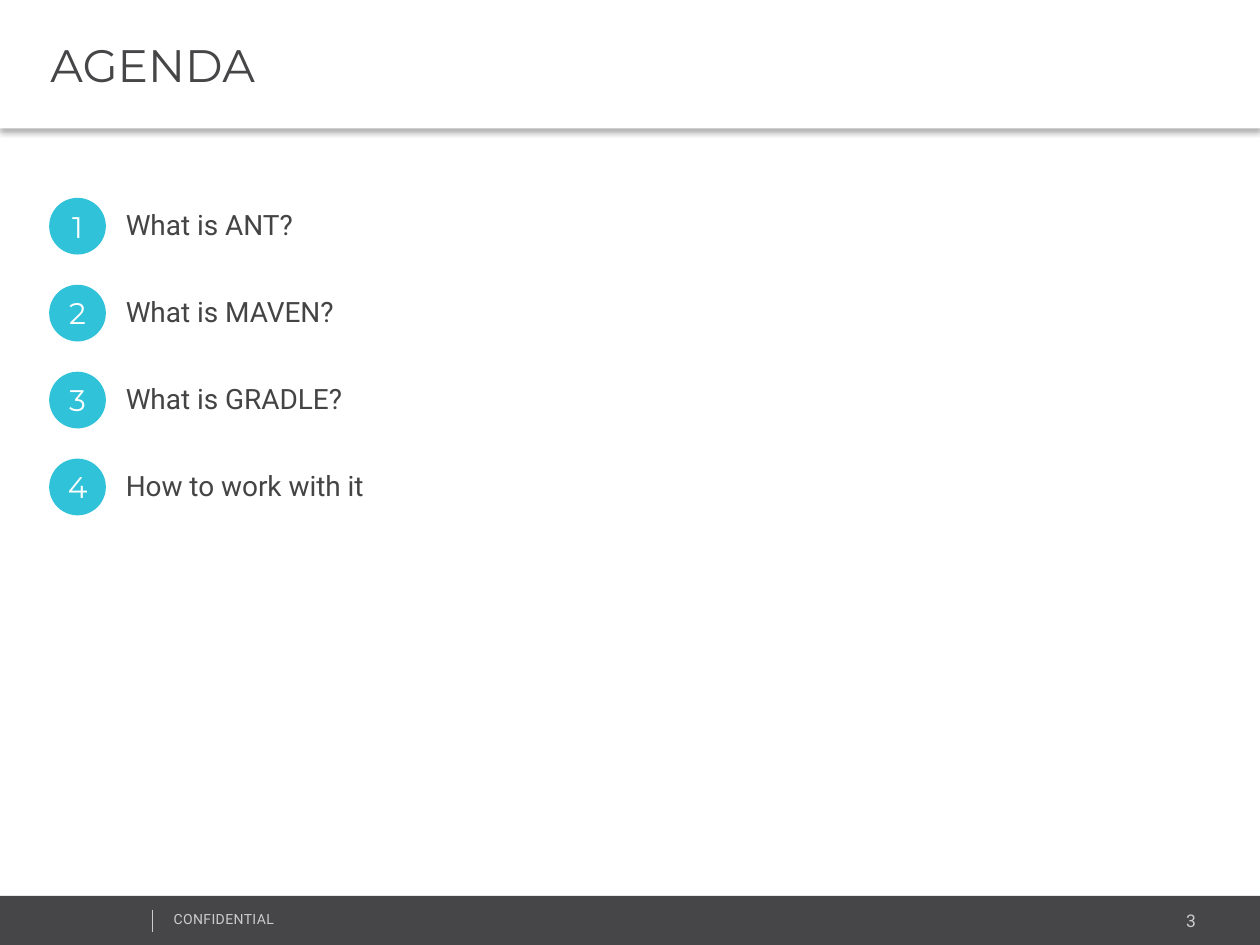
from lxml import etree
from pptx import Presentation
from pptx.dml.color import RGBColor
from pptx.enum.shapes import MSO_CONNECTOR, MSO_SHAPE
from pptx.enum.text import MSO_ANCHOR, PP_ALIGN
from pptx.oxml.ns import qn
from pptx.util import Inches, Pt

RECTANGLE, OVAL = MSO_SHAPE.RECTANGLE, MSO_SHAPE.OVAL
STRAIGHT = MSO_CONNECTOR.STRAIGHT
TOP, MIDDLE = MSO_ANCHOR.TOP, MSO_ANCHOR.MIDDLE
LEFT, CENTER, RIGHT = PP_ALIGN.LEFT, PP_ALIGN.CENTER, PP_ALIGN.RIGHT

TITLE = "AGENDA"
TOPICS = ["What is ANT?", "What is MAVEN?", "What is GRADLE?", "How to work with it"]
FOOTER = "CONFIDENTIAL"
PAGE_NUMBER = "3"

COLORS = {
    "white": "FFFFFF",
    "dark": "464547",
    "topic": "444444",
    "badge": "2FC2D9",
    "footer": "CCCCCC",
    "shadow": "000000",
}
HEADING_FONT, BODY_FONT = "Montserrat", "Roboto"

WIDTH, HEIGHT = 10, 7.5
HEADER_HEIGHT = 1.02
FOOTER_TOP, FOOTER_HEIGHT = 7.11, 0.4
FIRST_ROW, ROW_STEP = 1.57, 0.69
BADGE_LEFT, BADGE_SIZE = 0.39, 0.45
NUMBER_WIDTH, NUMBER_HEIGHT = 0.35, 0.27
TOPIC_LEFT, TOPIC_WIDTH, TOPIC_HEIGHT = 0.9, 8, 0.37
DEFAULT_INSETS = (0.1, 0.05, 0.1, 0.05)


def color(name):
    return RGBColor.from_string(COLORS[name])


def add_block(shapes, kind, box, fill):
    shape = shapes.add_shape(kind, *map(Inches, box))
    shape.shadow.inherit = False
    shape.fill.solid()
    shape.fill.fore_color.rgb = color(fill)
    shape.line.fill.background()
    return shape


def write(shape, text, font, size, fill, align=LEFT, anchor=TOP,
          insets=DEFAULT_INSETS, wrap=True):
    frame = shape.text_frame
    frame.word_wrap = wrap
    frame.vertical_anchor = anchor
    (frame.margin_left, frame.margin_top,
     frame.margin_right, frame.margin_bottom) = map(Inches, insets)
    paragraph = frame.paragraphs[0]
    paragraph.alignment = align
    run = paragraph.add_run()
    run.text = text
    run.font.name = font
    run.font.size = Pt(size)
    run.font.color.rgb = color(fill)
    return run


def add_text(shapes, box, *content, **layout):
    return write(shapes.add_textbox(*map(Inches, box)), *content, **layout)


def add_drop_shadow(shape):
    effects = shape._element.spPr.find(qn("a:effectLst"))
    shadow = etree.SubElement(
        effects, qn("a:outerShdw"), blurRad=str(Pt(3.1)), dist=str(Pt(2)),
        dir="5400000", algn="t", rotWithShape="0")
    tint = etree.SubElement(shadow, qn("a:srgbClr"), val=COLORS["shadow"])
    etree.SubElement(tint, qn("a:alpha"), val="30000")


def add_footer(shapes):
    add_block(shapes, RECTANGLE, (0, FOOTER_TOP, WIDTH, FOOTER_HEIGHT), "dark")
    add_text(shapes, (7.96, 7.17, 1.63, 0.27), PAGE_NUMBER, BODY_FONT, 10,
             "footer", align=RIGHT)
    label = add_text(shapes, (1.28, 7.18, 2.53, 0.24), FOOTER, BODY_FONT, 8, "footer")
    label.font._element.set("spc", "20")
    divider = shapes.add_connector(STRAIGHT, *map(Inches, (1.21, 7.22, 1.21, 7.4)))
    divider.line.color.rgb = color("footer")
    divider.line.width = Pt(0.25)
    etree.SubElement(divider._element.spPr, qn("a:effectLst"))


def add_header(shapes):
    header = add_block(shapes, RECTANGLE, (0, 0, WIDTH, HEADER_HEIGHT), "white")
    add_drop_shadow(header)
    write(header, TITLE, HEADING_FONT, 26, "dark", anchor=MIDDLE,
          insets=(0.4, 0.05, 0.1, 0.05))


def add_topic(shapes, index, topic):
    top = FIRST_ROW + index * ROW_STEP
    row = shapes.add_group_shape().shapes
    add_text(row, (TOPIC_LEFT, top + 0.03, TOPIC_WIDTH, TOPIC_HEIGHT),
             topic, BODY_FONT, 16, "topic")
    add_block(row, OVAL, (BADGE_LEFT, top, BADGE_SIZE, BADGE_SIZE), "badge")
    number_left = BADGE_LEFT + (BADGE_SIZE - NUMBER_WIDTH) / 2
    add_text(row, (number_left, top + 0.04, NUMBER_WIDTH, NUMBER_HEIGHT),
             str(index + 1), HEADING_FONT, 17, "white", align=CENTER,
             anchor=MIDDLE, insets=(0.1, 0.1, 0.1, 0), wrap=False)


def main():
    presentation = Presentation()
    presentation.slide_width, presentation.slide_height = Inches(WIDTH), Inches(HEIGHT)
    slide = presentation.slides.add_slide(presentation.slide_layouts[6])
    add_footer(slide.shapes)
    add_header(slide.shapes)
    for index, topic in enumerate(TOPICS):
        add_topic(slide.shapes, index, topic)
    presentation.save("out.pptx")


if __name__ == "__main__":
    main()
